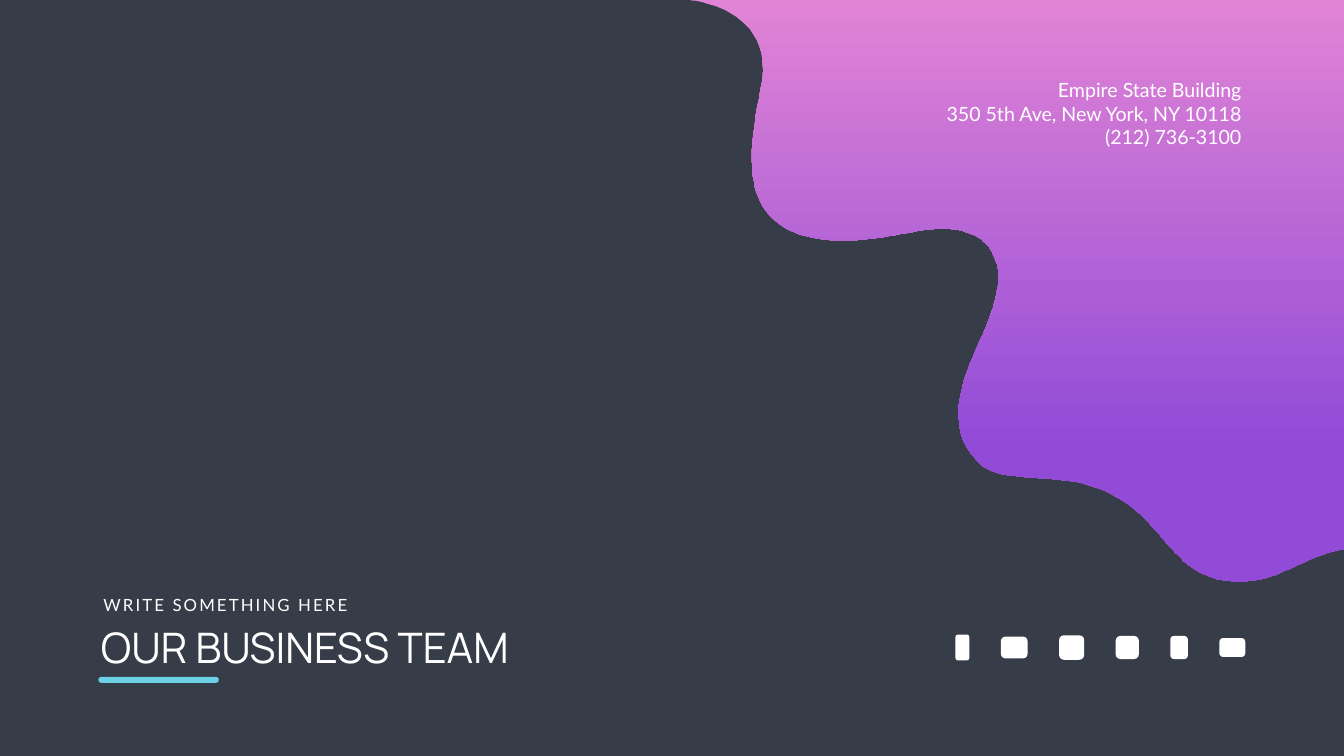
from pptx import Presentation
from pptx.dml.color import RGBColor
from pptx.enum.shapes import MSO_SHAPE
from pptx.enum.text import MSO_ANCHOR, MSO_AUTO_SIZE, PP_ALIGN
from pptx.util import Pt

ROUND = MSO_SHAPE.ROUNDED_RECTANGLE
TOP = MSO_ANCHOR.TOP
FIT = MSO_AUTO_SIZE.SHAPE_TO_FIT_TEXT
LEFT, RIGHT = PP_ALIGN.LEFT, PP_ALIGN.RIGHT

# Content
TITLE = "OUR BUSINESS TEAM"
LEAD = "WRITE SOMETHING HERE"
ADDRESS = ["Empire State Building", "350 5th Ave, New York, NY 10118", "(212) 736-3100"]

# Look, lengths in points
WIDE, HIGH = 1919.5, 1080
DARK, WHITE, AQUA = "363D48", "FFFFFF", "6CD1E5"
FADE = [(0, "E184D6"), (0.77, "914BD7")]

# Wave edge: a start, then two control points and an end per curve
START = (983.5, 0)
CURVES = [
    ((983.5, 0), (1111.7, 7.9), (1086.5, 128.2)),
    ((1063.4, 239), (1070.6, 298.8), (1125.4, 327.6)),
    ((1187.3, 360.7), (1284.5, 332.6), (1328.4, 327.6)),
    ((1378.1, 322.6), (1408.3, 339.8), (1418.4, 362.9)),
    ((1426.3, 380.2), (1434.2, 401.8), (1408.3, 468)),
    ((1395.4, 501.1), (1332, 603.4), (1400.4, 663.1)),
    ((1439.3, 696.2), (1517.8, 667.4), (1591.2, 707.8)),
    ((1661, 745.2), (1674, 817.2), (1749.6, 829.4)),
    ((1820.2, 839.5), (1851.1, 797), (WIDE, 784.1)),
]
STEPS = 24

# Social marks: width and height of each, in a row with equal gaps
MARKS = [(20, 37), (38, 31), (36, 35), (33, 33), (25, 33), (37, 27)]
MARK_X, MARK_MID, MARK_GAP = 1364.5, 925, 45


def color(code):
    return RGBColor.from_string(code)


def place(shape, x, y, w, h):
    shape.left, shape.top, shape.width, shape.height = Pt(x), Pt(y), Pt(w), Pt(h)


def write(shape, text, size, face, align):
    frame = shape.text_frame
    frame.text = text
    frame.word_wrap = True
    frame.auto_size = FIT
    frame.vertical_anchor = TOP
    for para in frame.paragraphs:
        para.alignment = align
        para.space_before = Pt(0)
        for run in para.runs:
            run.font.size = Pt(size)
            run.font.name = face
            run.font.color.rgb = color(WHITE)


def pill(slide, x, y, w, h, fill, bend):
    shape = slide.shapes.add_shape(ROUND, Pt(x), Pt(y), Pt(w), Pt(h))
    shape.adjustments[0] = bend
    shape.fill.solid()
    shape.fill.fore_color.rgb = color(fill)
    shape.line.fill.background()
    shape.shadow.inherit = False


def trace(start, curves):
    """Points along a chain of cubic curves."""
    spots = []
    for one, two, end in curves:
        for step in range(1, STEPS + 1):
            t = step / STEPS
            u = 1 - t
            spots.append(tuple(
                u**3 * a + 3 * u * u * t * b + 3 * u * t * t * c + t**3 * d
                for a, b, c, d in zip(start, one, two, end)))
        start = end
    return spots


def main():
    deck = Presentation()
    deck.slide_width, deck.slide_height = Pt(WIDE), Pt(HIGH)
    slide = deck.slides.add_slide(deck.slide_layouts[0])
    slide.background.fill.solid()
    slide.background.fill.fore_color.rgb = color(DARK)

    # Wave
    pen = slide.shapes.build_freeform(*START, scale=Pt(1))
    pen.add_line_segments(trace(START, CURVES) + [(WIDE, 0)], close=True)
    wave = pen.convert_to_shape()
    wave.fill.gradient()
    wave.fill.gradient_angle = 270
    for stop, (pos, code) in zip(wave.fill.gradient_stops, FADE):
        stop.position = pos
        stop.color.rgb = color(code)
    wave.line.fill.background()
    wave.shadow.inherit = False

    # Social marks
    x = MARK_X
    for w, h in MARKS:
        pill(slide, x, MARK_MID - h / 2, w, h, WHITE, 0.2)
        x += w + MARK_GAP

    # Address
    box = slide.shapes.add_textbox(Pt(1334), Pt(108), Pt(446), Pt(109))
    write(box, "\n".join(ADDRESS), 28, "Lato", RIGHT)

    # Title, lead line and rule
    title, lead = slide.shapes.title, slide.placeholders[1]
    place(title, 137, 884, 760, 80)
    write(title, TITLE, 60, "Manrope", LEFT)
    place(lead, 140.5, 845.5, 370, 36)
    write(lead, LEAD, 24, "Lato", LEFT)
    lead.text_frame.paragraphs[0].runs[0].font._element.set("spc", "300")
    pill(slide, 140.5, 967, 172, 8.5, AQUA, 0.5)

    deck.save("out.pptx")


if __name__ == "__main__":
    main()
